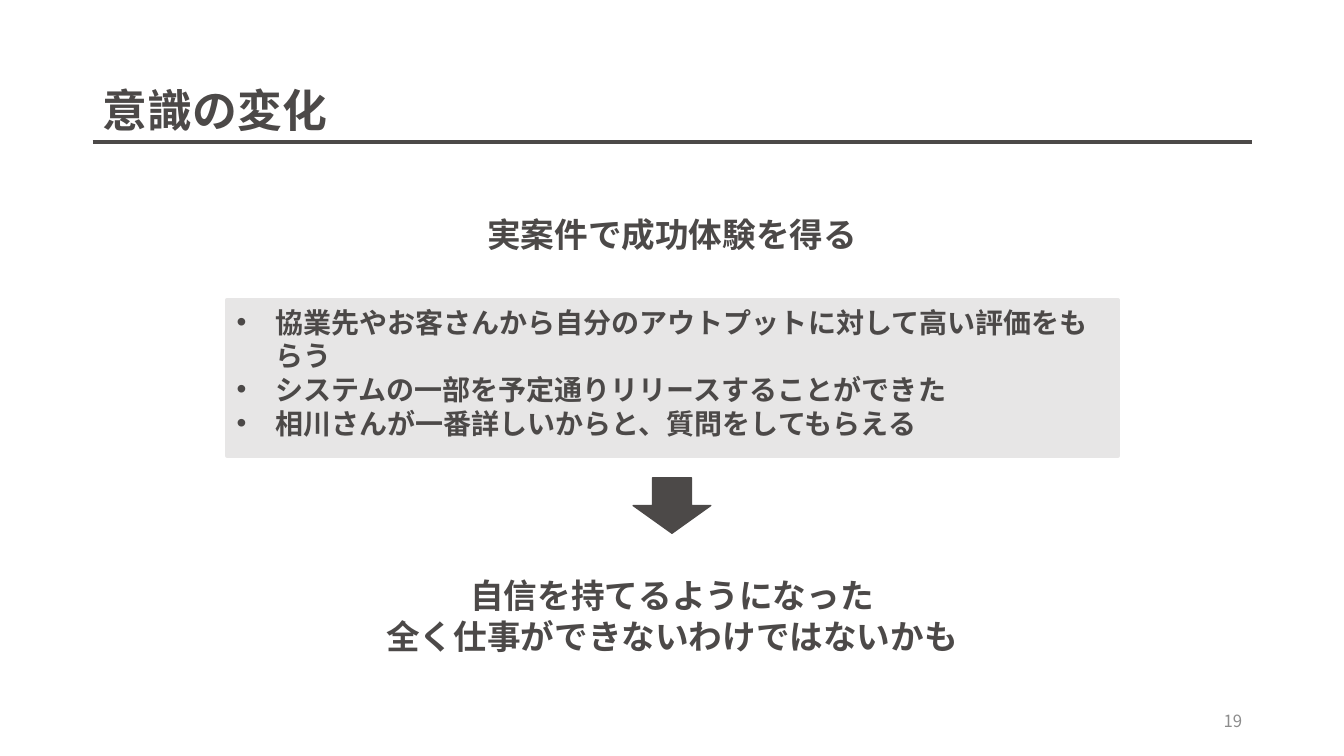
from dataclasses import dataclass

from lxml import etree
from pptx import Presentation
from pptx.dml.color import RGBColor
from pptx.enum.shapes import MSO_CONNECTOR, MSO_SHAPE
from pptx.enum.text import MSO_ANCHOR, PP_ALIGN
from pptx.oxml.ns import qn
from pptx.util import Inches, Pt

LEFT, CENTER, RIGHT = PP_ALIGN.LEFT, PP_ALIGN.CENTER, PP_ALIGN.RIGHT
TOP, MIDDLE = MSO_ANCHOR.TOP, MSO_ANCHOR.MIDDLE
RECTANGLE, DOWN_ARROW = MSO_SHAPE.RECTANGLE, MSO_SHAPE.DOWN_ARROW
STRAIGHT = MSO_CONNECTOR.STRAIGHT

JAPANESE_FONT = "Noto Sans CJK JP"
DARK, PANEL, MUTED = "4C4948", "E7E6E6", "8C8C8C"
BULLET_INDENT = Inches(0.38)


@dataclass
class Box:
    left: float
    top: float
    width: float
    height: float

    def lengths(self) -> tuple:
        return tuple(Inches(n) for n in (self.left, self.top, self.width, self.height))


@dataclass
class TextStyle:
    size: int
    color: str = DARK
    bold: bool = True
    align: PP_ALIGN = CENTER
    latin: str = JAPANESE_FONT


@dataclass
class Label:
    box: Box
    lines: list[str]
    style: TextStyle


def rgb(color: str) -> RGBColor:
    return RGBColor.from_string(color)


def add_run(paragraph, text: str, style: TextStyle) -> None:
    run = paragraph.add_run()
    run.text = text
    run.font.size = Pt(style.size)
    run.font.bold = style.bold
    run.font.color.rgb = rgb(style.color)
    run.font.name = style.latin
    east_asian = etree.SubElement(run._r.get_or_add_rPr(), qn("a:ea"))
    east_asian.set("typeface", JAPANESE_FONT)


def write_lines(frame, lines: list[str], style: TextStyle, anchor: MSO_ANCHOR) -> None:
    frame.word_wrap = True
    frame.vertical_anchor = anchor
    paragraph = frame.paragraphs[0]
    paragraph.alignment = style.align
    for index, line in enumerate(lines):
        if index:
            paragraph.add_line_break()
        add_run(paragraph, line, style)


def write_bullets(frame, items: list[str], style: TextStyle) -> None:
    frame.word_wrap = True
    frame.vertical_anchor = TOP
    for index, item in enumerate(items):
        paragraph = frame.add_paragraph() if index else frame.paragraphs[0]
        paragraph.alignment = style.align
        properties = paragraph._p.get_or_add_pPr()
        properties.set("marL", str(BULLET_INDENT))
        properties.set("indent", str(-BULLET_INDENT))
        etree.SubElement(properties, qn("a:buFont")).set("typeface", "Arial")
        etree.SubElement(properties, qn("a:buChar")).set("char", "•")
        add_run(paragraph, item, style)


def add_filled_shape(slide, kind: MSO_SHAPE, box: Box, color: str, line_width: float):
    shape = slide.shapes.add_shape(kind, *box.lengths())
    shape.shadow.inherit = False
    shape.fill.solid()
    shape.fill.fore_color.rgb = rgb(color)
    shape.line.color.rgb = rgb(color)
    shape.line.width = Pt(line_width)
    return shape


def add_title(slide, text: str) -> None:
    rule = slide.shapes.add_connector(
        STRAIGHT, Inches(0.92), Inches(1.41), Inches(12.42), Inches(1.41))
    rule.line.color.rgb = rgb(DARK)
    rule.line.width = Pt(3)
    etree.SubElement(rule._element.spPr, qn("a:effectLst"))

    title = slide.shapes.title
    title.left, title.top, title.width, title.height = Box(0.92, 0.4, 11.5, 1.45).lengths()
    write_lines(title.text_frame, [text], TextStyle(32, align=LEFT, latin="Arial"), MIDDLE)
    title.text_frame.paragraphs[0].line_spacing = 0.9


HEADLINE = TextStyle(24)
LABELS = [
    Label(Box(9.42, 6.95, 3, 0.4), ["19"], TextStyle(12, MUTED, False, RIGHT)),
    Label(Box(2.09, 1.67, 9.15, 1.31), ["実案件で成功体験を得る"], HEADLINE),
    Label(Box(2.09, 5.65, 9.15, 0.91),
          ["自信を持てるようになった", "全く仕事ができないわけではないかも"], HEADLINE),
]
ACHIEVEMENTS = [
    "協業先やお客さんから自分のアウトプットに対して高い評価をもらう",
    "システムの一部を予定通りリリースすることができた",
    "相川さんが一番詳しいからと、質問をしてもらえる",
]


def main() -> None:
    presentation = Presentation()
    presentation.slide_width, presentation.slide_height = Inches(13.33), Inches(7.5)
    slide = presentation.slides.add_slide(presentation.slide_layouts[5])

    # Title and rule
    add_title(slide, "意識の変化")

    # Headline, conclusion and page number
    for label in LABELS:
        text_box = slide.shapes.add_textbox(*label.box.lengths())
        write_lines(text_box.text_frame, label.lines, label.style, MIDDLE)

    # Achievements panel and the arrow to the conclusion
    panel = add_filled_shape(slide, RECTANGLE, Box(2.25, 2.98, 8.84, 1.54), PANEL, 3)
    write_bullets(panel.text_frame, ACHIEVEMENTS, TextStyle(20, align=LEFT))
    add_filled_shape(slide, DOWN_ARROW, Box(6.28, 4.74, 0.77, 0.55), DARK, 1)

    presentation.save("out.pptx")


if __name__ == "__main__":
    main()
